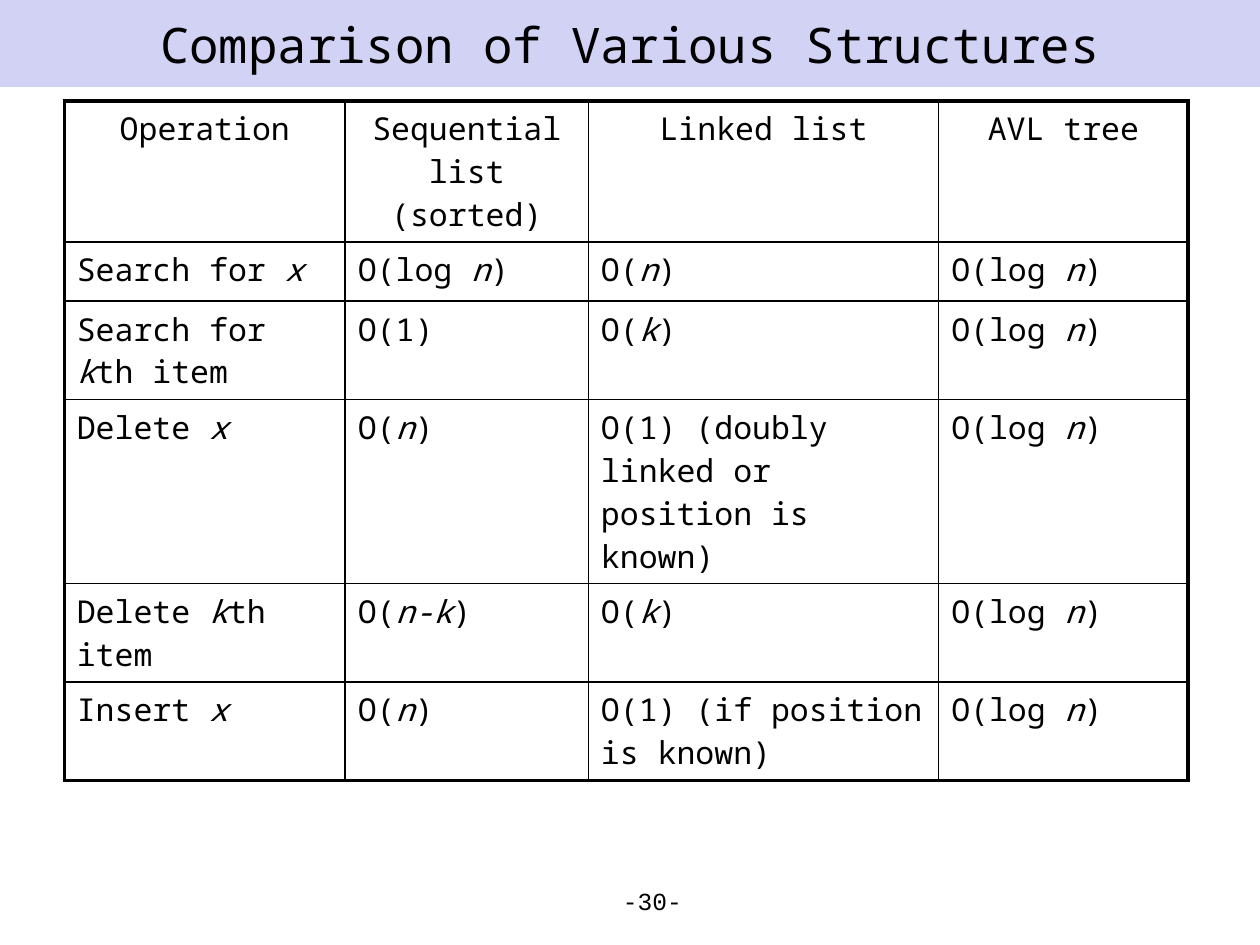
from pptx import Presentation
from pptx.dml.color import RGBColor
from pptx.enum.text import MSO_ANCHOR, MSO_AUTO_SIZE, PP_ALIGN
from pptx.oxml import parse_xml
from pptx.oxml.ns import nsdecls
from pptx.util import Inches, Pt

BLACK, WHITE, LAVENDER = "000000", "FFFFFF", "D2D2F4"
MONO = "Noto Sans Mono"
THIN, THICK = 1, 2.25

COLUMN_WIDTHS = [2.23, 1.93, 2.78, 1.98]
ROW_HEIGHTS = [0.76, 0.47, 0.55, 0.55, 0.55, 0.58]
# Asterisks enclose italic text
COMPARISON = [
    ["Operation", "Sequential list (sorted)", "Linked list", "AVL tree"],
    ["Search for *x*", "O(log *n*)", "O(*n*)", "O(log *n*)"],
    ["Search for* k*th item", "O(1)", "O(*k*)", "O(log *n*)"],
    ["Delete *x*", "O(*n*)", "O(1) (doubly linked or position is known)", "O(log *n*)"],
    ["Delete *k*th item", "O(*n-k*)", "O(*k*)", "O(log *n*)"],
    ["Insert* x*", "O(*n*)", "O(1) (if position is known)", "O(log *n*)"],
]


def color(hex_value):
    return RGBColor.from_string(hex_value)


def write(paragraph, marked_text, size, font=MONO, align=PP_ALIGN.LEFT):
    paragraph.alignment = align
    for index, part in enumerate(marked_text.split("*")):
        if not part:
            continue
        run = paragraph.add_run()
        run.text = part
        run.font.name = font
        run.font.size = Pt(size)
        run.font.italic = index % 2 == 1
        run.font.color.rgb = color(BLACK)


def space_before(paragraph, percent):
    properties = paragraph._p.get_or_add_pPr()
    properties.append(parse_xml(
        f'<a:spcBef {nsdecls("a")}><a:spcPct val="{percent * 1000}"/></a:spcBef>'))


def set_borders(cell, widths):
    properties = cell._tc.get_or_add_tcPr()
    for side, width in widths.items():
        properties.append(parse_xml(
            f'<a:ln{side} {nsdecls("a")} w="{Pt(width)}"><a:solidFill>'
            f'<a:srgbClr val="{BLACK}"/></a:solidFill></a:ln{side}>'))


def place_title(slide, left, top, width, height):
    title = slide.shapes.title
    title.left, title.top = Inches(left), Inches(top)
    title.width, title.height = Inches(width), Inches(height)
    title.fill.solid()
    title.fill.fore_color.rgb = color(LAVENDER)
    frame = title.text_frame
    frame.auto_size = MSO_AUTO_SIZE.NONE
    frame.vertical_anchor = MSO_ANCHOR.MIDDLE
    write(frame.paragraphs[0], "Comparison of Various Structures", 28,
          align=PP_ALIGN.CENTER)


def place_comparison(slide, left, top, width, height):
    last_row, last_column = len(ROW_HEIGHTS) - 1, len(COLUMN_WIDTHS) - 1
    table = slide.shapes.add_table(
        last_row + 1, last_column + 1,
        Inches(left), Inches(top), Inches(width), Inches(height)).table
    table.first_row = table.horz_banding = False
    for column, column_width in zip(table.columns, COLUMN_WIDTHS):
        column.width = Inches(column_width)
    for row, row_height in zip(table.rows, ROW_HEIGHTS):
        row.height = Inches(row_height)

    for r, entries in enumerate(COMPARISON):
        for c, entry in enumerate(entries):
            cell = table.cell(r, c)
            paragraph = cell.text_frame.paragraphs[0]
            write(paragraph, entry, 18,
                  align=PP_ALIGN.CENTER if r == 0 else PP_ALIGN.LEFT)
            space_before(paragraph, 20)
            # Thick outer frame, thin inner grid
            set_borders(cell, {
                "L": THICK if c == 0 else THIN,
                "R": THICK if c == last_column else THIN,
                "T": THICK if r == 0 else THIN,
                "B": THICK if r == last_row else THIN,
            })
            cell.fill.background()


def place_page_number(slide, left, top, width, height):
    page_number = slide.shapes.add_textbox(
        Inches(left), Inches(top), Inches(width), Inches(height))
    frame = page_number.text_frame
    frame.word_wrap = True
    write(frame.paragraphs[0], "-30-", 14, "Courier New", PP_ALIGN.RIGHT)


def main():
    deck = Presentation()
    deck.slide_width, deck.slide_height = Inches(10), Inches(7.5)
    slide = deck.slides.add_slide(deck.slide_layouts.get_by_name("Title Only"))
    slide.background.fill.solid()
    slide.background.fill.fore_color.rgb = color(WHITE)
    place_title(slide, 0, 0, 10, 0.69)
    place_comparison(slide, 0.51, 0.8, 8.93, 4.33)
    place_page_number(slide, 3.43, 6.98, 2.08, 0.31)
    deck.save("out.pptx")


if __name__ == "__main__":
    main()
